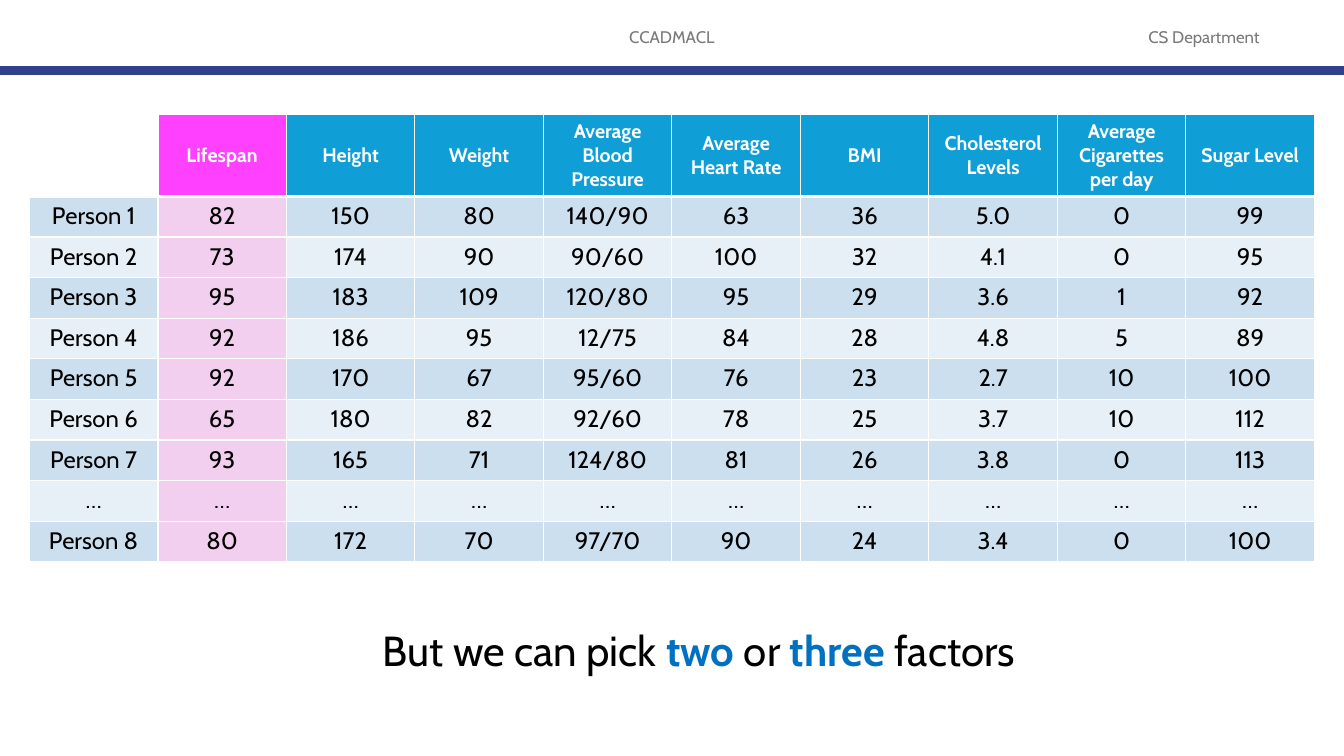
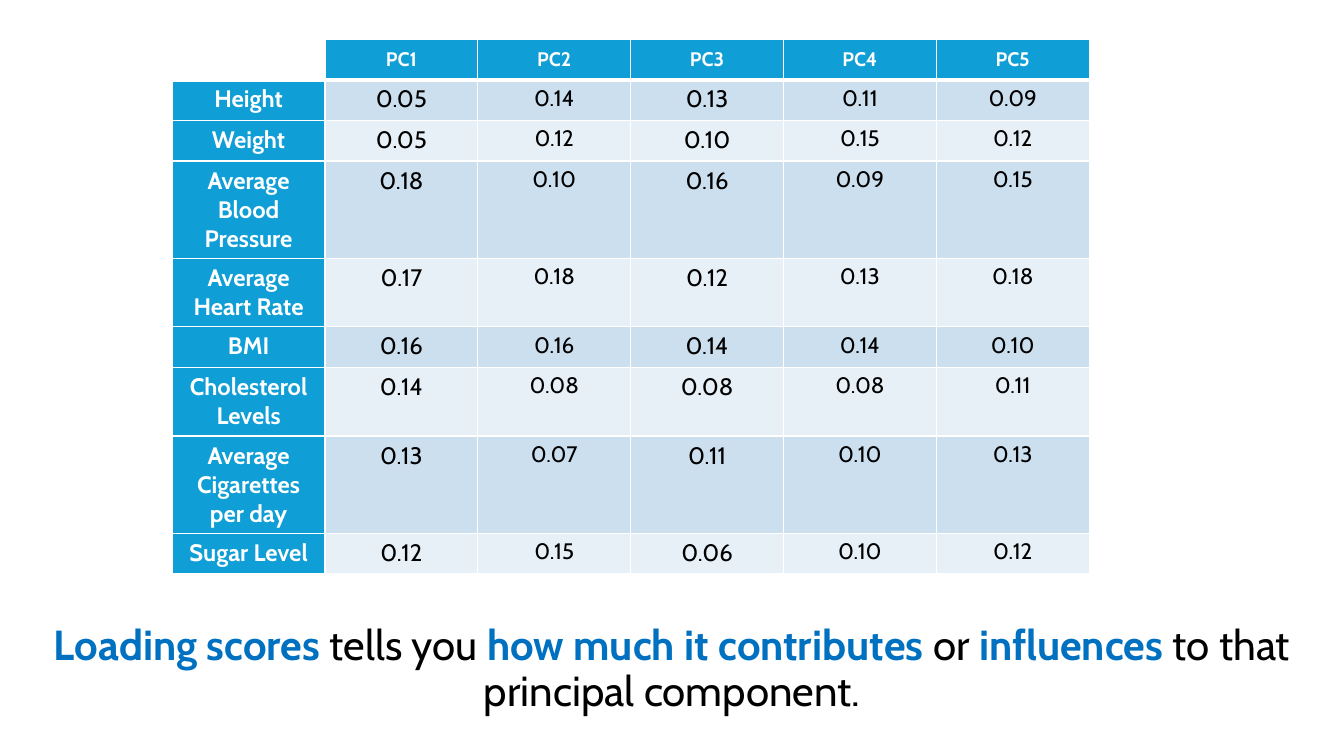
from collections import namedtuple

from lxml.etree import SubElement
from pptx import Presentation
from pptx.dml.color import RGBColor
from pptx.enum.shapes import MSO_CONNECTOR
from pptx.enum.text import MSO_ANCHOR, MSO_AUTO_SIZE, PP_ALIGN
from pptx.oxml.ns import qn
from pptx.util import Pt

WHITE = RGBColor(0xFF, 0xFF, 0xFF)
BLACK = RGBColor(0x00, 0x00, 0x00)
GREY = RGBColor(0x79, 0x79, 0x79)
NAVY = RGBColor(0x32, 0x41, 0x8C)
EMPHASIS_BLUE = RGBColor(0x00, 0x70, 0xC0)
HEADING_BLUE = RGBColor(0x0F, 0x9E, 0xD5)
HEADING_PINK = RGBColor(0xFF, 0x40, 0xFF)
PALE_PINK = RGBColor(0xF2, 0xCF, 0xEE)
BANDS = (RGBColor(0xCC, 0xDF, 0xEF), RGBColor(0xE7, 0xF0, 0xF7))

FONT = "Cabin"
SLIDE_WIDTH, SLIDE_HEIGHT = 960, 540
Box = namedtuple("Box", "left top width height")
CellStyle = namedtuple("CellStyle", "fill color size bold anchor")

FACTORS = [
    "Height", "Weight", "Average Blood Pressure", "Average Heart Rate", "BMI",
    "Cholesterol Levels", "Average Cigarettes per day", "Sugar Level",
]
PEOPLE = [
    ["", "Lifespan", *FACTORS],
    ["Person 1", "82", "150", "80", "140/90", "63", "36", "5.0", "0", "99"],
    ["Person 2", "73", "174", "90", "90/60", "100", "32", "4.1", "0", "95"],
    ["Person 3", "95", "183", "109", "120/80", "95", "29", "3.6", "1", "92"],
    ["Person 4", "92", "186", "95", "12/75", "84", "28", "4.8", "5", "89"],
    ["Person 5", "92", "170", "67", "95/60", "76", "23", "2.7", "10", "100"],
    ["Person 6", "65", "180", "82", "92/60", "78", "25", "3.7", "10", "112"],
    ["Person 7", "93", "165", "71", "124/80", "81", "26", "3.8", "0", "113"],
    ["…"] * 10,
    ["Person 8", "80", "172", "70", "97/70", "90", "24", "3.4", "0", "100"],
]
SCORES = [
    ["0.05", "0.14", "0.13", "0.11", "0.09"],
    ["0.05", "0.12", "0.10", "0.15", "0.12"],
    ["0.18", "0.10", "0.16", "0.09", "0.15"],
    ["0.17", "0.18", "0.12", "0.13", "0.18"],
    ["0.16", "0.16", "0.14", "0.14", "0.10"],
    ["0.14", "0.08", "0.08", "0.08", "0.11"],
    ["0.13", "0.07", "0.11", "0.10", "0.13"],
    ["0.12", "0.15", "0.06", "0.10", "0.12"],
]
LOADINGS = [["", "PC1", "PC2", "PC3", "PC4", "PC5"]]
LOADINGS += [[factor, *scores] for factor, scores in zip(FACTORS, SCORES)]
LOADING_SIZES = (17, 17, 16, 17, 16, 16)


def set_attributes(target, values):
    """Set each named attribute of the target."""
    for name, value in values.items():
        setattr(target, name, value)


def place(box):
    """Return the box as four lengths."""
    return [Pt(value) for value in box]


def add_run(paragraph, text, size, color, bold=False):
    """Append one formatted run to the paragraph."""
    run = paragraph.add_run()
    run.text = text
    set_attributes(run.font, {"name": FONT, "size": Pt(size), "bold": bold})
    run.font.color.rgb = color


def center_text(frame):
    """Centre the text both ways and return its first paragraph."""
    set_attributes(frame, {
        "word_wrap": True,
        "auto_size": MSO_AUTO_SIZE.NONE,
        "vertical_anchor": MSO_ANCHOR.MIDDLE,
    })
    paragraph = frame.paragraphs[0]
    paragraph.alignment = PP_ALIGN.CENTER
    return paragraph


def add_header(slide, box):
    """Draw the header labels above a rule along the bottom of the box."""
    labels = (("CCADMACL", 318, 324), ("CS Department", 786, 148))
    for text, left, width in labels:
        label_box = Box(box.left + left, box.top + 12, width, 29)
        label = slide.shapes.add_textbox(*place(label_box))
        add_run(center_text(label.text_frame), text, 12, GREY)
    bottom = box.top + box.height
    rule = slide.shapes.add_connector(
        MSO_CONNECTOR.STRAIGHT,
        *place((box.left, bottom, box.left + box.width, bottom)))
    rule.line.color.rgb = NAVY
    rule.line.width = Pt(6)
    SubElement(rule._element.spPr, qn("a:effectLst"))


def add_caption(slide, box, parts):
    """Write the title in the box from pairs of text and emphasis."""
    title = slide.shapes.title
    set_attributes(title, dict(zip(box._fields, place(box))))
    paragraph = center_text(title.text_frame)
    set_attributes(paragraph, {"line_spacing": 0.9, "space_before": Pt(10)})
    for text, emphasised in parts:
        color = EMPHASIS_BLUE if emphasised else BLACK
        add_run(paragraph, text, 30, color, emphasised)


def add_borders(cell, row):
    """Give the cell white borders, thicker below the heading row."""
    properties = cell._tc.get_or_add_tcPr()
    widths = {"L": 1, "R": 1, "T": 3 if row == 1 else 1, "B": 3 if row == 0 else 1}
    for side, width in widths.items():
        line = SubElement(properties, qn(f"a:ln{side}"), w=str(Pt(width)))
        fill = SubElement(line, qn("a:solidFill"))
        SubElement(fill, qn("a:srgbClr"), val=str(WHITE))


def people_style(row, column):
    """Return the style of a cell in the table of people."""
    if row == 0:
        fill = (WHITE, HEADING_PINK)[column] if column < 2 else HEADING_BLUE
        return CellStyle(fill, WHITE, 14, True, MSO_ANCHOR.MIDDLE)
    fill = PALE_PINK if column == 1 else BANDS[(row - 1) % 2]
    return CellStyle(fill, BLACK, 17, False, MSO_ANCHOR.TOP)


def loading_style(row, column):
    """Return the style of a cell in the table of loading scores."""
    if row == 0:
        fill = HEADING_BLUE if column else WHITE
        return CellStyle(fill, WHITE, 14, True, MSO_ANCHOR.MIDDLE)
    if column == 0:
        return CellStyle(HEADING_BLUE, WHITE, 17, True, MSO_ANCHOR.TOP)
    fill = BANDS[(row - 1) % 2]
    return CellStyle(fill, BLACK, LOADING_SIZES[column], False, MSO_ANCHOR.TOP)


def add_data_table(slide, box, records, heights, style_for):
    """Fill the box with a table of equal columns."""
    column_count = len(records[0])
    frame = slide.shapes.add_table(len(records), column_count, *place(box))
    table = frame.table
    for column in table.columns:
        column.width = Pt(box.width / column_count)
    for row, (record, height) in enumerate(zip(records, heights)):
        table.rows[row].height = Pt(height)
        for column, text in enumerate(record):
            style = style_for(row, column)
            cell = table.cell(row, column)
            add_borders(cell, row)
            cell.fill.solid()
            cell.fill.fore_color.rgb = style.fill
            cell.vertical_anchor = style.anchor
            paragraph = cell.text_frame.paragraphs[0]
            paragraph.alignment = PP_ALIGN.CENTER
            add_run(paragraph, text, style.size, style.color, style.bold)


def add_people_slide(presentation):
    """Build the slide with the table of people."""
    slide = presentation.slides.add_slide(presentation.slide_layouts[5])
    add_header(slide, Box(0, 0, SLIDE_WIDTH, 50.5))
    add_data_table(slide, Box(21, 82, 918, 319), PEOPLE, [58] + [29] * 9, people_style)
    add_caption(slide, Box(83.5, 435, 831.5, 62.5), [
        ("But we can pick ", False), ("two", True), (" or ", False),
        ("three", True), (" factors", False),
    ])


def add_loadings_slide(presentation):
    """Build the slide with the table of loading scores."""
    slide = presentation.slides.add_slide(presentation.slide_layouts[5])
    add_caption(slide, Box(29, 425.5, 902, 106), [
        ("Loading scores ", True), ("tells you ", False),
        ("how much it contributes", True), (" or ", False),
        ("influences ", True), ("to that principal component.", False),
    ])
    heights = [29, 29, 29, 69.5, 49, 29, 49, 69.5, 29]
    add_data_table(slide, Box(123, 28, 655, sum(heights)), LOADINGS, heights, loading_style)


def main():
    """Build and save the presentation."""
    presentation = Presentation()
    set_attributes(presentation, {
        "slide_width": Pt(SLIDE_WIDTH), "slide_height": Pt(SLIDE_HEIGHT),
    })
    add_people_slide(presentation)
    add_loadings_slide(presentation)
    presentation.save("out.pptx")


if __name__ == "__main__":
    main()
